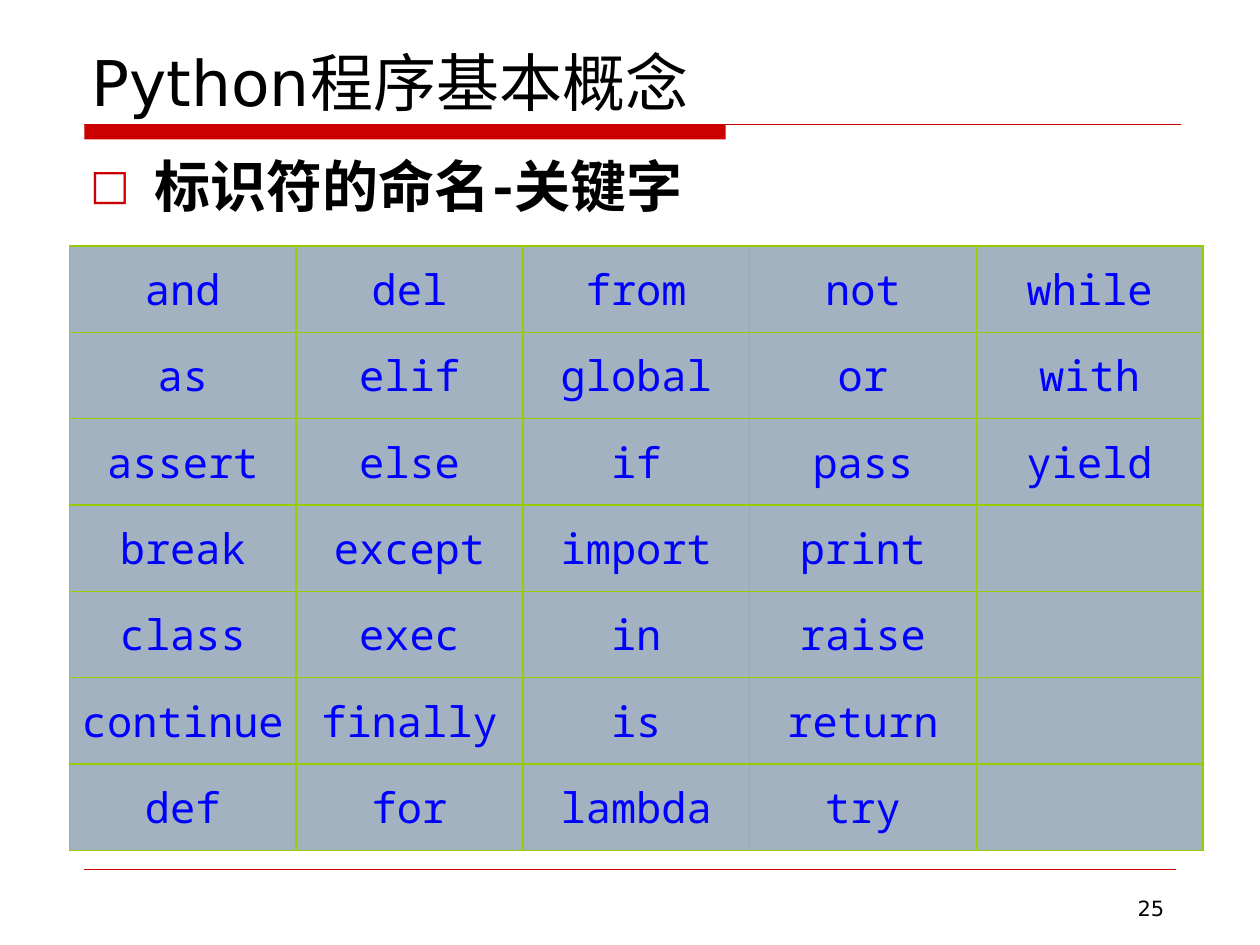
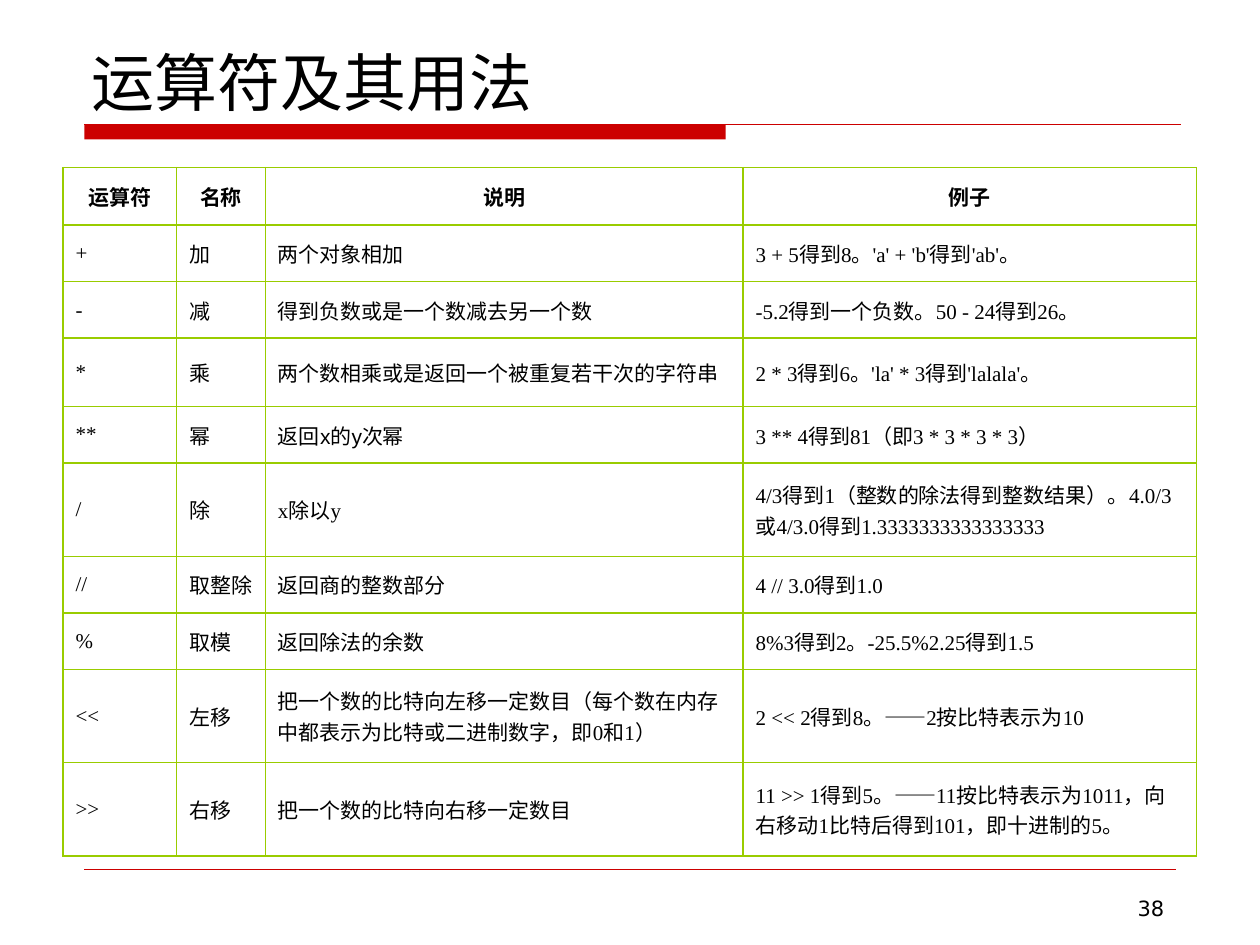
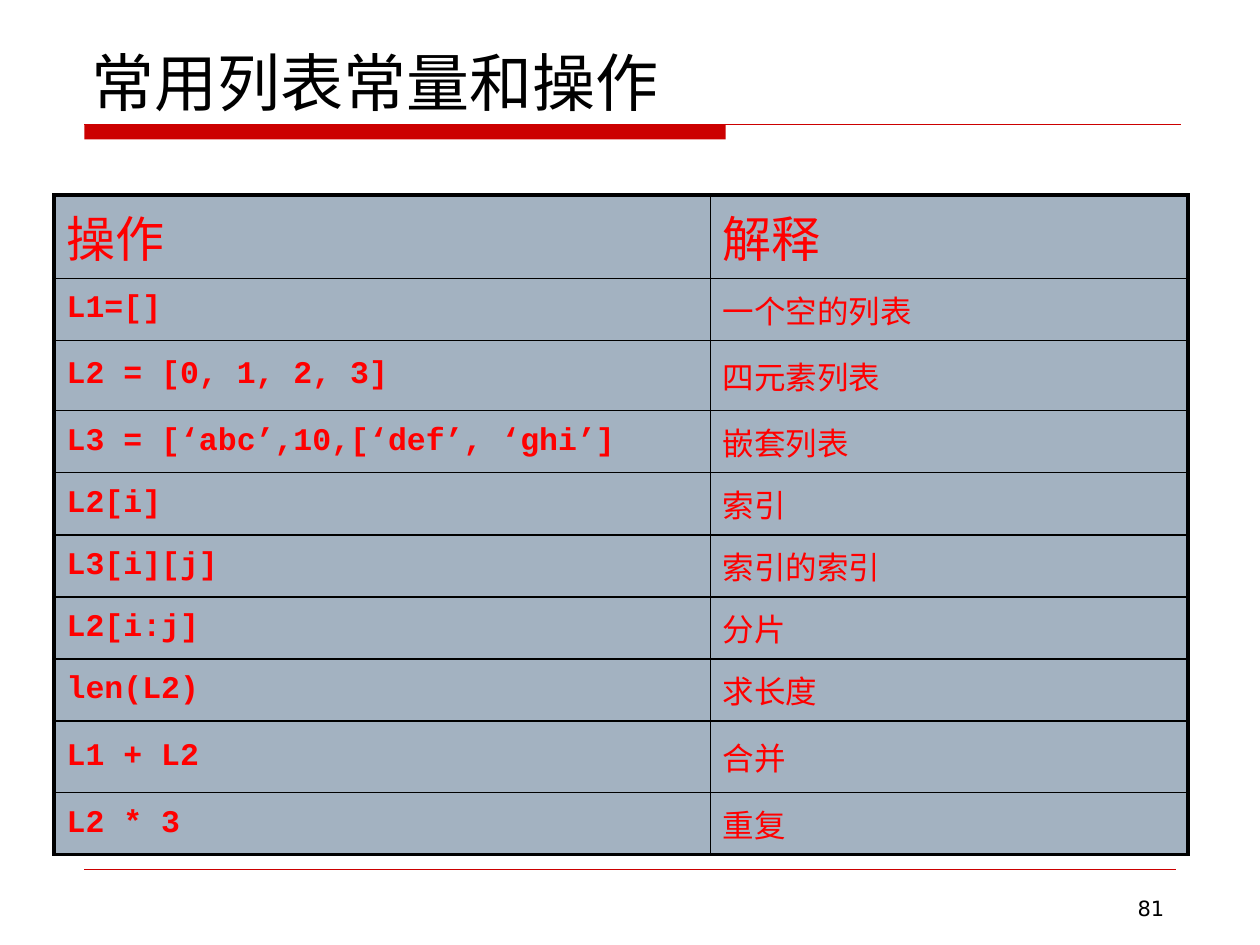
import lxml.etree
import pptx
import pptx.dml.color
import pptx.enum.shapes
import pptx.enum.text
import pptx.oxml
import pptx.oxml.ns
import pptx.util

Cm = pptx.util.Cm
Pt = pptx.util.Pt
qn = pptx.oxml.ns.qn
ALIGN = pptx.enum.text.PP_ALIGN
ANCHOR = pptx.enum.text.MSO_ANCHOR

COLORS = {
    "text": "000000",
    "accent": "CC0000",
    "keyword": "0000FF",
    "operation": "FF0000",
    "cell": "A3B2C1",
    "green": "99CC00",
}
RGB = {name: pptx.dml.color.RGBColor.from_string(value) for name, value in COLORS.items()}

CJK_FONT = "Noto Sans CJK SC"
ARIAL_TEXTS = ("——", "返回x的y次幂")
TITLE = {"name": "DejaVu Sans", "size": Pt(36)}
PAGE_NUMBER = {"name": "DejaVu Sans", "size": Pt(12)}
SUBTITLE = {"name": "TeX Gyre Adventor", "size": Pt(32), "bold": True}
KEYWORD = {"name": "Noto Sans Mono", "size": Pt(24)}
OPERATOR = {"name": "Times New Roman", "size": Pt(12), "bold": False}
OPERATOR_HEAD = {**OPERATOR, "bold": True}
LIST_HEAD = {"name": CJK_FONT, "size": Pt(28)}
LIST_CODE = {"name": "Courier New", "size": Pt(18), "bold": True}
LIST_MEANING = {"name": CJK_FONT, "size": Pt(18), "bold": False}


def write(frame, text, font_format, color="text", align=ALIGN.LEFT):
    """Fill the first paragraph; a long dash becomes a run of its own."""
    frame.word_wrap = True
    paragraph = frame.paragraphs[0]
    paragraph.alignment = align
    for piece in filter(None, text.partition("——")):
        run = paragraph.add_run()
        run.text = piece
        for attribute, value in font_format.items():
            setattr(run.font, attribute, value)
        if piece in ARIAL_TEXTS:
            run.font.name = "Arial"
        run.font.color.rgb = RGB[color]
        east_asian = lxml.etree.Element(qn("a:ea"), typeface=CJK_FONT)
        run.font._element.find(qn("a:latin")).addnext(east_asian)
    return paragraph


def add_grid(slide, left, top, widths, heights, border, outer=1, fill=None):
    """Add an empty table with plain cells; outer is the frame width in points."""
    table = slide.shapes.add_table(len(heights), len(widths), Cm(left), Cm(top),
                                   Cm(sum(widths)), Cm(sum(heights))).table
    table.first_row = table.horz_banding = False
    for column, width in zip(table.columns, widths):
        column.width = Cm(width)
    for row, height in zip(table.rows, heights):
        row.height = Cm(height)
    for r in range(len(heights)):
        for c in range(len(widths)):
            cell = table.cell(r, c)
            cell.vertical_anchor = ANCHOR.MIDDLE
            on_frame = {"lnL": c == 0, "lnR": c == len(widths) - 1,
                        "lnT": r == 0, "lnB": r == len(heights) - 1}
            for edge, is_outer in on_frame.items():
                line = lxml.etree.SubElement(cell._tc.get_or_add_tcPr(), qn(f"a:{edge}"),
                                             w=str(Pt(outer if is_outer else 1)))
                paint = lxml.etree.SubElement(line, qn("a:solidFill"))
                lxml.etree.SubElement(paint, qn("a:srgbClr"), val=COLORS[border])
            if fill:
                cell.fill.solid()
                cell.fill.fore_color.rgb = RGB[fill]
            else:
                cell.fill.background()
    return table


deck = pptx.Presentation()
deck.slide_width, deck.slide_height = Cm(25.4), Cm(19.05)

# Title, red band, footer rule and page number of every slide
pages = []
for title, number in (("Python程序基本概念", "25"), ("运算符及其用法", "38"),
                      ("常用列表常量和操作", "81")):
    slide = deck.slides.add_slide(deck.slide_layouts[6])
    pages.append(slide)
    band = slide.shapes.add_shape(pptx.enum.shapes.MSO_SHAPE.RECTANGLE,
                                  Cm(1.7), Cm(2.51), Cm(12.93), Cm(0.3))
    band.shadow.inherit = False
    band.fill.solid()
    band.fill.fore_color.rgb = RGB["accent"]
    band.line.fill.background()
    for y, right, weight in ((2.51, 23.8, 0.75), (17.53, 23.7, 0.25)):
        rule = slide.shapes.add_connector(pptx.enum.shapes.MSO_CONNECTOR.STRAIGHT,
                                          Cm(1.7), Cm(y), Cm(right), Cm(y))
        rule.line.color.rgb = RGB["accent"]
        rule.line.width = Pt(weight)
        lxml.etree.SubElement(rule._element.spPr, qn("a:effectLst"))
    heading = slide.shapes.add_textbox(Cm(1.6), Cm(0.84), Cm(22.22), Cm(1.68)).text_frame
    heading.vertical_anchor = ANCHOR.BOTTOM
    write(heading, title, TITLE)
    footer = slide.shapes.add_textbox(Cm(18.2), Cm(17.93), Cm(5.52), Cm(0.74)).text_frame
    write(footer, number, PAGE_NUMBER, align=ALIGN.RIGHT)

keyword_page, operator_page, list_page = pages

# Keywords, listed column by column
subtitle = keyword_page.shapes.add_textbox(Cm(1.57), Cm(2.92), Cm(22.22), Cm(13.8)).text_frame
bulleted = write(subtitle, "标识符的命名-关键字", SUBTITLE)
bullet = bulleted._p.get_or_add_pPr()
bullet.set("marL", str(Cm(1.3)))
bullet.set("indent", str(-Cm(1.3)))
bullet_color = lxml.etree.SubElement(bullet, qn("a:buClr"))
lxml.etree.SubElement(bullet_color, qn("a:srgbClr"), val=COLORS["accent"])
lxml.etree.SubElement(bullet, qn("a:buSzPct"), val="75000")
lxml.etree.SubElement(bullet, qn("a:buFont"), typeface="DejaVu Sans")
lxml.etree.SubElement(bullet, qn("a:buChar"), char="□")

KEYWORDS = """and as assert break class continue def
del elif else except exec finally for
from global if import in is lambda
not or pass print raise return try
while with yield"""
keywords = add_grid(keyword_page, 1.4, 4.96, [4.57] * 5, [1.74] * 7, "green", fill="cell")
for c, column_words in enumerate(KEYWORDS.splitlines()):
    for r, word in enumerate(column_words.split()):
        cell = keywords.cell(r, c)
        # Narrow side margins keep the longest keyword on one line
        cell.margin_left = cell.margin_right = Cm(0.15)
        write(cell.text_frame, word, KEYWORD, "keyword", ALIGN.CENTER)

# Operators
OPERATORS = [
    ("运算符", "名称", "说明", "例子"),
    ("+", "加", "两个对象相加", "3 + 5得到8。'a' + 'b'得到'ab'。"),
    ("-", "减", "得到负数或是一个数减去另一个数", "-5.2得到一个负数。50 - 24得到26。"),
    ("*", "乘", "两个数相乘或是返回一个被重复若干次的字符串",
     "2 * 3得到6。'la' * 3得到'lalala'。"),
    ("**", "幂", "返回x的y次幂", "3 ** 4得到81（即3 * 3 * 3 * 3）"),
    ("/", "除", "x除以y",
     "4/3得到1（整数的除法得到整数结果）。4.0/3或4/3.0得到1.3333333333333333"),
    ("//", "取整除", "返回商的整数部分", "4 // 3.0得到1.0"),
    ("%", "取模", "返回除法的余数", "8%3得到2。-25.5%2.25得到1.5"),
    ("<<", "左移", "把一个数的比特向左移一定数目（每个数在内存中都表示为比特或二进制数字，即0和1）",
     "2 << 2得到8。——2按比特表示为10"),
    (">>", "右移", "把一个数的比特向右移一定数目",
     "11 >> 1得到5。——11按比特表示为1011，向右移动1比特后得到101，即十进制的5。"),
]
operators = add_grid(operator_page, 1.27, 3.38, [2.29, 1.79, 9.63, 9.14],
                     [1.16, 1.14, 1.14, 1.38, 1.14, 1.88, 1.14, 1.14, 1.88, 1.88], "green")
for r, entry in enumerate(OPERATORS):
    for c, text in enumerate(entry):
        write(operators.cell(r, c).text_frame, text, OPERATOR if r else OPERATOR_HEAD,
              align=ALIGN.LEFT if r else ALIGN.CENTER)

# List operations
LIST_OPERATIONS = [
    ("操作", "解释"),
    ("L1=[]", "一个空的列表"),
    ("L2 = [0, 1, 2, 3]", "四元素列表"),
    ("L3 = [‘abc’,10,[‘def’, ‘ghi’]", "嵌套列表"),
    ("L2[i]", "索引"),
    ("L3[i][j]", "索引的索引"),
    ("L2[i:j]", "分片"),
    ("len(L2)", "求长度"),
    ("L1 + L2", "合并"),
    ("L2 * 3", "重复"),
]
operations = add_grid(list_page, 1.09, 3.93, [13.23, 9.63],
                      [1.68, 1.25, 1.42, 1.25, 1.25, 1.25, 1.25, 1.25, 1.45, 1.25],
                      "text", outer=2.25, fill="cell")
for r, entry in enumerate(LIST_OPERATIONS):
    for c, text in enumerate(entry):
        font_format = (LIST_CODE, LIST_MEANING)[c] if r else LIST_HEAD
        write(operations.cell(r, c).text_frame, text, font_format, "operation")

deck.save("out.pptx")
